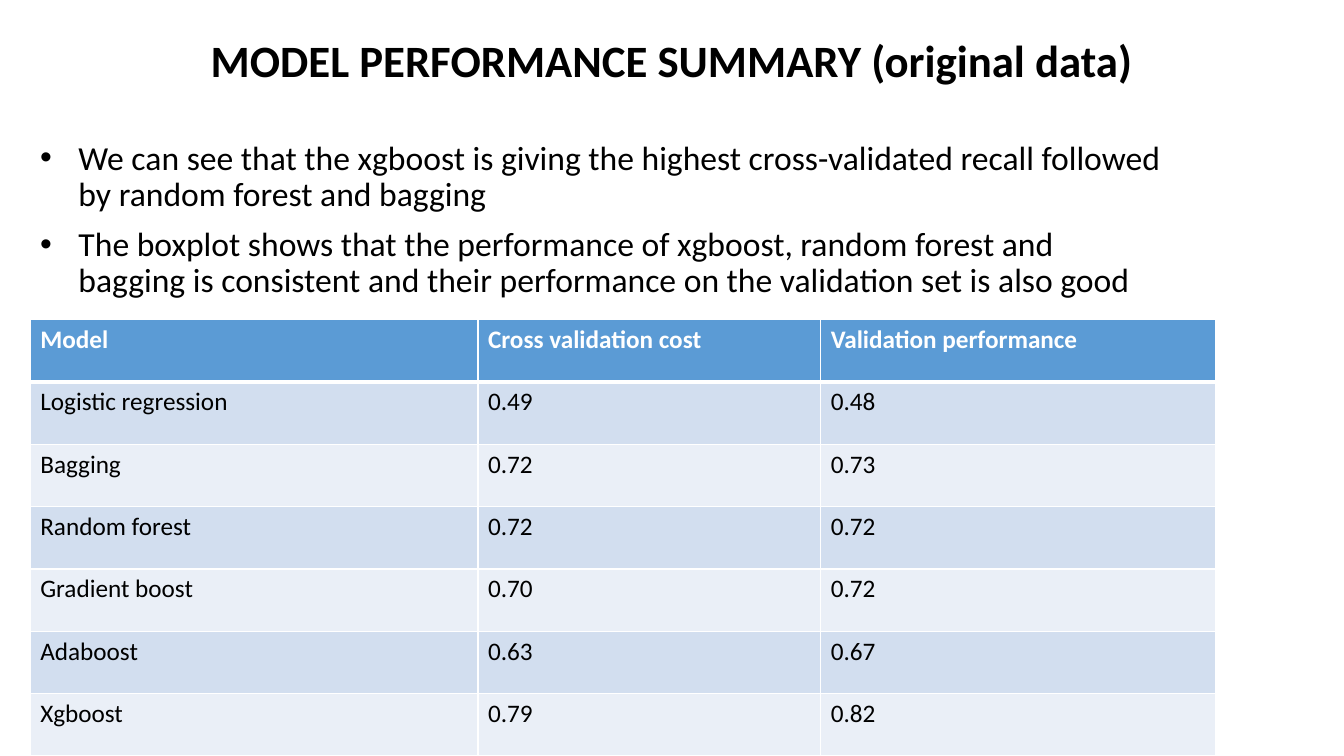
from lxml.etree import SubElement as Sub
from pptx import Presentation
from pptx.dml.color import RGBColor as Rgb
from pptx.enum.text import MSO_ANCHOR as Anchor, PP_ALIGN as Align
from pptx.oxml.ns import qn
from pptx.util import Inches, Pt

WIDE, HIGH = Inches(13.33), Inches(7.5)
BLACK, WHITE, BLUE = "000000", "FFFFFF", "5B9BD5"
BANDS = "D2DEEF", "EAEFF7"
TITLE = "MODEL PERFORMANCE SUMMARY (original data)"
POINTS = (
    "We can see that the xgboost is giving the highest cross-validated "
    "recall followed by random forest and bagging",
    "The boxplot shows that the performance of xgboost, random forest and "
    "bagging is consistent and their performance on the validation set is "
    "also good",
)
ROWS = (
    ("Model", "Cross validation cost", "Validation performance"),
    ("Logistic regression", "0.49", "0.48"),
    ("Bagging", "0.72", "0.73"),
    ("Random forest", "0.72", "0.72"),
    ("Gradient boost", "0.70", "0.72"),
    ("Adaboost", "0.63", "0.67"),
    ("Xgboost", "0.79", "0.82"),
)
SHARES = 33.31, 25.51, 29.41


def color(code):
    """Turn a hex string into a colour."""
    return Rgb.from_string(code)


def across(part):
    """Turn a percentage of the slide width into a length."""
    return round(WIDE * part / 100)


def down(part):
    """Turn a percentage of the slide height into a length."""
    return round(HIGH * part / 100)


def add_run(para, text, size, code=BLACK, bold=False):
    """Add one styled run to a paragraph."""
    run = para.add_run()
    run.text = text
    font = run.font
    font.name, font.size, font.bold = "Calibri", Pt(size), bold
    font.color.rgb = color(code)


def add_box(slide, left, top, width, height):
    """Add a wrapping text box and return its frame."""
    box = slide.shapes.add_textbox(
        across(left), down(top), across(width), down(height))
    box.text_frame.word_wrap = True
    return box.text_frame


def add_title(slide, text):
    """Add the centred heading, resting on the base of its box."""
    frame = add_box(slide, 12.5, 2.4, 75, 9.73)
    frame.vertical_anchor = Anchor.BOTTOM
    para = frame.paragraphs[0]
    para.alignment, para.line_spacing = Align.CENTER, 0.9
    add_run(para, text, 32, bold=True)


def add_points(slide, points):
    """Add the bulleted findings."""
    frame = add_box(slide, 2.25, 18, 85.2, 58.67)
    for num, text in enumerate(points):
        para = frame.add_paragraph() if num else frame.paragraphs[0]
        para.line_spacing, para.space_before = 0.9, Pt(10)
        props = para._p.get_or_add_pPr()
        props.set("marL", str(Inches(0.38)))
        props.set("indent", str(-Inches(0.38)))
        Sub(props, qn("a:buFont"), typeface="Arial")
        Sub(props, qn("a:buChar"), char="•")
        add_run(para, text, 24)


def add_edges(cell, base):
    """Draw white cell borders, with the bottom one as wide as base."""
    props = cell._tc.get_or_add_tcPr()
    for side, width in zip("LRTB", (1, 1, 1, base)):
        line = Sub(props, qn(f"a:ln{side}"), w=str(Pt(width)))
        Sub(Sub(line, qn("a:solidFill")), qn("a:srgbClr"), val=WHITE)


def add_grid(slide, rows):
    """Add the score table with a blue head and banded rows."""
    grid = slide.shapes.add_table(
        len(rows), len(SHARES), across(2.25), down(42.27),
        across(sum(SHARES)), down(57.73)).table
    for col, share in zip(grid.columns, SHARES):
        col.width = across(share)
    for y, row in enumerate(rows):
        head = y == 0
        for x, text in enumerate(row):
            cell = grid.cell(y, x)
            add_edges(cell, 3 if head else 1)
            cell.fill.solid()
            cell.fill.fore_color.rgb = color(BLUE if head else BANDS[(y - 1) % 2])
            add_run(cell.text_frame.paragraphs[0], text, 18,
                    WHITE if head else BLACK, head)


def main():
    """Build and save the slide."""
    deck = Presentation()
    deck.slide_width, deck.slide_height = WIDE, HIGH
    slide = deck.slides.add_slide(deck.slide_layouts[6])
    add_title(slide, TITLE)
    add_points(slide, POINTS)
    add_grid(slide, ROWS)
    deck.save("out.pptx")


if __name__ == "__main__":
    main()
